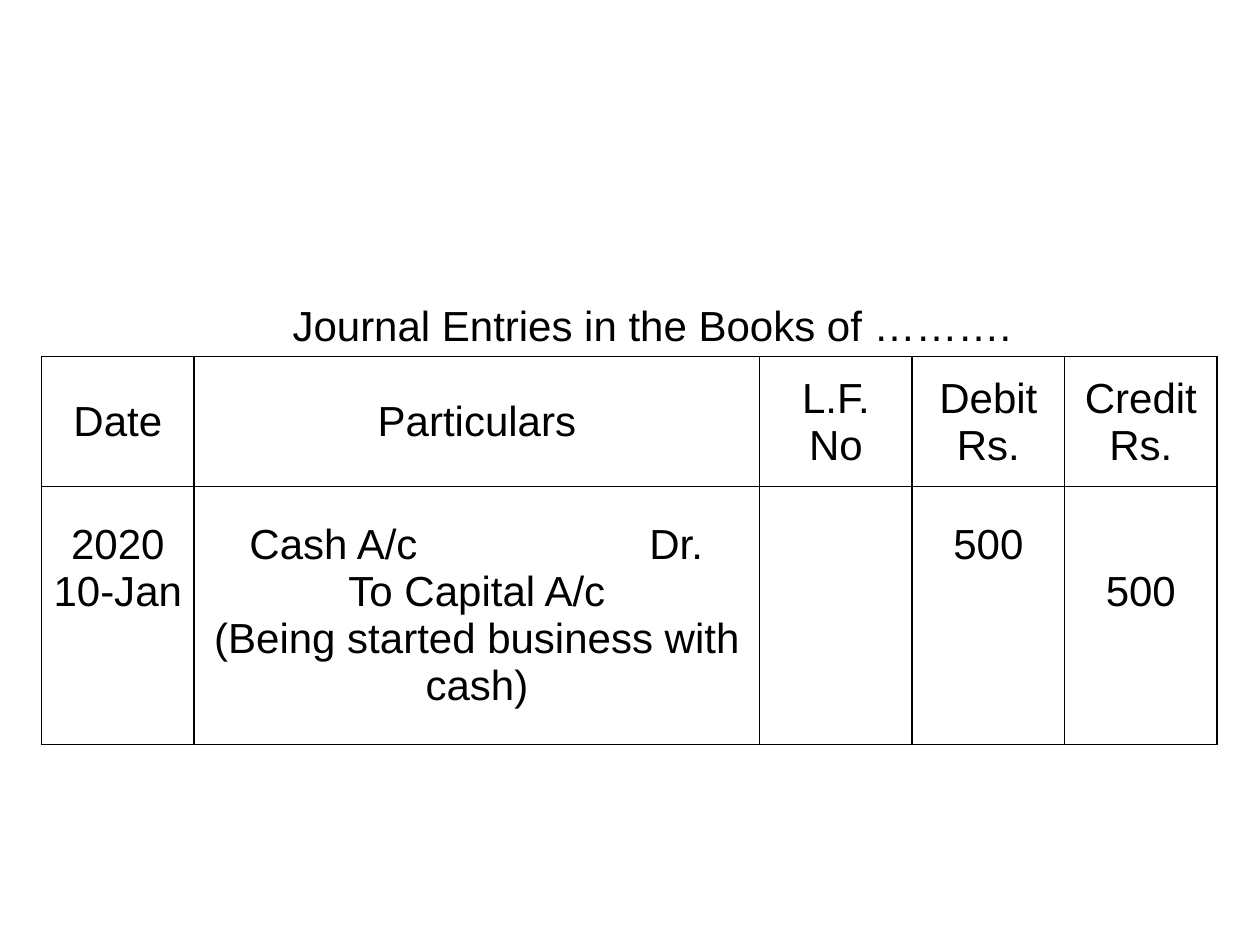
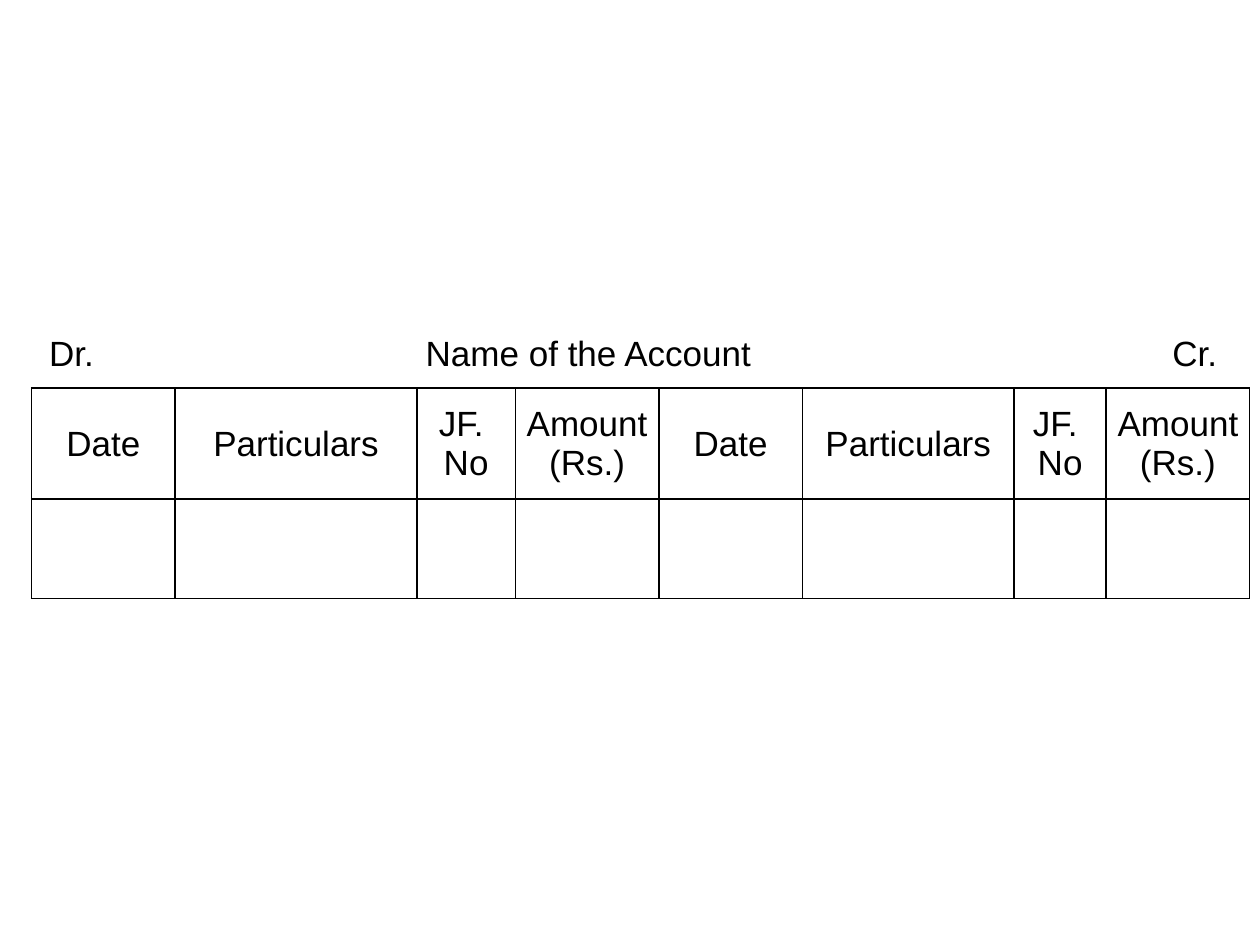
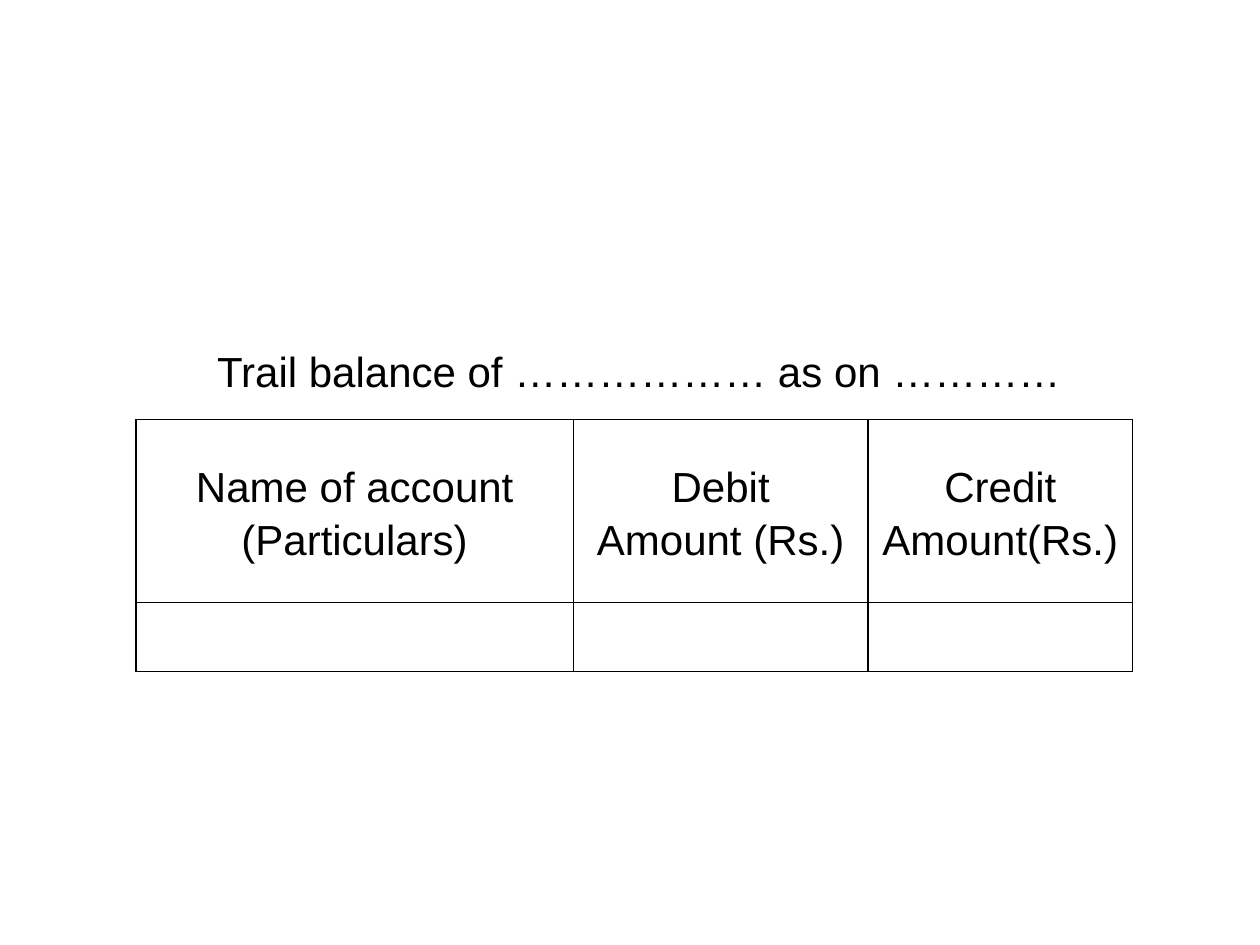
from dataclasses import dataclass

from lxml import etree
from pptx import Presentation
from pptx.dml.color import RGBColor
from pptx.enum import text
from pptx.oxml.ns import qn
from pptx.util import Inches, Pt


@dataclass(frozen=True)
class Theme:
    font: str = "Arial"
    ink: RGBColor = RGBColor(0, 0, 0)
    large: int = 24
    small: int = 20
    rule_width: int = 1


THEME = Theme()
TIGHT = (0.01, 0.01, 0.01, 0)
ROOMY = (0.07, 0, 0.07, 0)
TITLE_ONLY = 5


def set_tabs(paragraph, stops):
    """Left-align the paragraph and give it (inches, alignment) tab stops."""
    paragraph.alignment = text.PP_ALIGN.LEFT
    tabs = etree.SubElement(paragraph._p.get_or_add_pPr(), qn("a:tabLst"))
    for position, alignment in stops:
        etree.SubElement(tabs, qn("a:tab"), pos=str(Inches(position)), algn=alignment)


def format_text(frame, size, spacing=1.0):
    for paragraph in frame.paragraphs:
        paragraph.alignment = text.PP_ALIGN.CENTER
        paragraph.line_spacing = spacing
        for span in paragraph.runs:
            span.font.name = THEME.font
            span.font.size = Pt(size)
            span.font.color.rgb = THEME.ink


def rule_cell(cell):
    """Clear the fill and draw a thin rule on all four sides."""
    cell.fill.background()
    properties = cell._tc.get_or_add_tcPr()
    for index, side in enumerate(("a:lnL", "a:lnR", "a:lnT", "a:lnB")):
        line = etree.Element(qn(side), w=str(Pt(THEME.rule_width)))
        fill = etree.SubElement(line, qn("a:solidFill"))
        etree.SubElement(fill, qn("a:srgbClr"), val=str(THEME.ink))
        properties.insert(index, line)


def set_insets(cell, insets):
    (cell.margin_left, cell.margin_top,
     cell.margin_right, cell.margin_bottom) = map(Inches, insets)


def add_caption(page, box, wording, size, spacing=1.0):
    title = page.shapes.title
    title.left, title.top, title.width, title.height = map(Inches, box)
    frame = title.text_frame
    frame.text = wording
    frame.word_wrap = True
    frame.auto_size = text.MSO_AUTO_SIZE.NONE
    frame.vertical_anchor = text.MSO_ANCHOR.TOP
    format_text(frame, size, spacing)
    return frame.paragraphs[0]


def add_ledger(page, corner, widths, heights, rows, size, insets=TIGHT, spacing=1.0):
    left, top = corner
    box = map(Inches, (left, top, sum(widths), sum(heights)))
    table = page.shapes.add_table(len(heights), len(widths), *box).table
    table.first_row = table.horz_banding = False
    for column, width in zip(table.columns, widths):
        column.width = Inches(width)
    for row, height, wordings in zip(table.rows, heights, rows):
        row.height = Inches(height)
        for cell, wording in zip(row.cells, wordings):
            rule_cell(cell)
            set_insets(cell, insets)
            cell.vertical_anchor = text.MSO_ANCHOR.MIDDLE
            if wording:
                cell.text_frame.text = wording
                format_text(cell.text_frame, size, spacing)
    return table


def add_journal(page):
    add_caption(page, (0.77, 2.33, 8.81, 0.5),
                "Journal Entries in the Books of ……….", THEME.large)
    rows = [
        ["Date", "Particulars", "L.F.\nNo", "Debit\nRs.", "Credit\nRs."],
        ["2020\n10-Jan",
         "\tCash A/c\tDr.\nTo Capital A/c\n(Being started business with cash)",
         "", "500", "500"],
    ]
    table = add_ledger(page, (0.33, 2.83), [1.21, 4.49, 1.21, 1.21, 1.21],
                       [1.03, 2.05], rows, THEME.large)

    first_line, line_height = 0.28, 0.37
    credit_column = 4
    for column, cell in enumerate(table.rows[1].cells):
        cell.vertical_anchor = text.MSO_ANCHOR.TOP
        offset = line_height if column == credit_column else 0
        cell.margin_top = Inches(first_line + offset)
    debit_entry = table.cell(1, 1).text_frame.paragraphs[0]
    set_tabs(debit_entry, [(0.43, "l"), (4.03, "r")])


def add_account(page):
    caption = add_caption(page, (0.29, 2.58, 9.55, 0.44),
                          "Dr.\tName of the Account\tCr.", THEME.small)
    set_tabs(caption, [(4.28, "ctr"), (9.27, "r")])
    side = ["Date", "Particulars", "JF. \vNo", "Amount (Rs.)"]
    add_ledger(page, (0.25, 3.08),
               [1.14, 1.92, 0.78, 1.14, 1.14, 1.68, 0.73, 1.14], [0.88, 0.79],
               [side * 2, [""] * 8], THEME.small)


def add_trial_balance(page):
    spacing = 1.15
    add_caption(page, (1.11, 2.63, 7.92, 0.53),
                "Trail balance of ……………… as on …………", THEME.large, spacing)
    headings = ["Name of account\n(Particulars)", "Debit\vAmount (Rs.)",
                "Credit\vAmount(Rs.)"]
    add_ledger(page, (1.08, 3.33), [3.47, 2.34, 2.1], [1.45, 0.55],
               [headings, [""] * 3], THEME.large, ROOMY, spacing)


def main():
    deck = Presentation()
    deck.slide_width, deck.slide_height = Inches(10), Inches(7.5)
    for build in (add_journal, add_account, add_trial_balance):
        build(deck.slides.add_slide(deck.slide_layouts[TITLE_ONLY]))
    deck.save("out.pptx")


if __name__ == "__main__":
    main()
